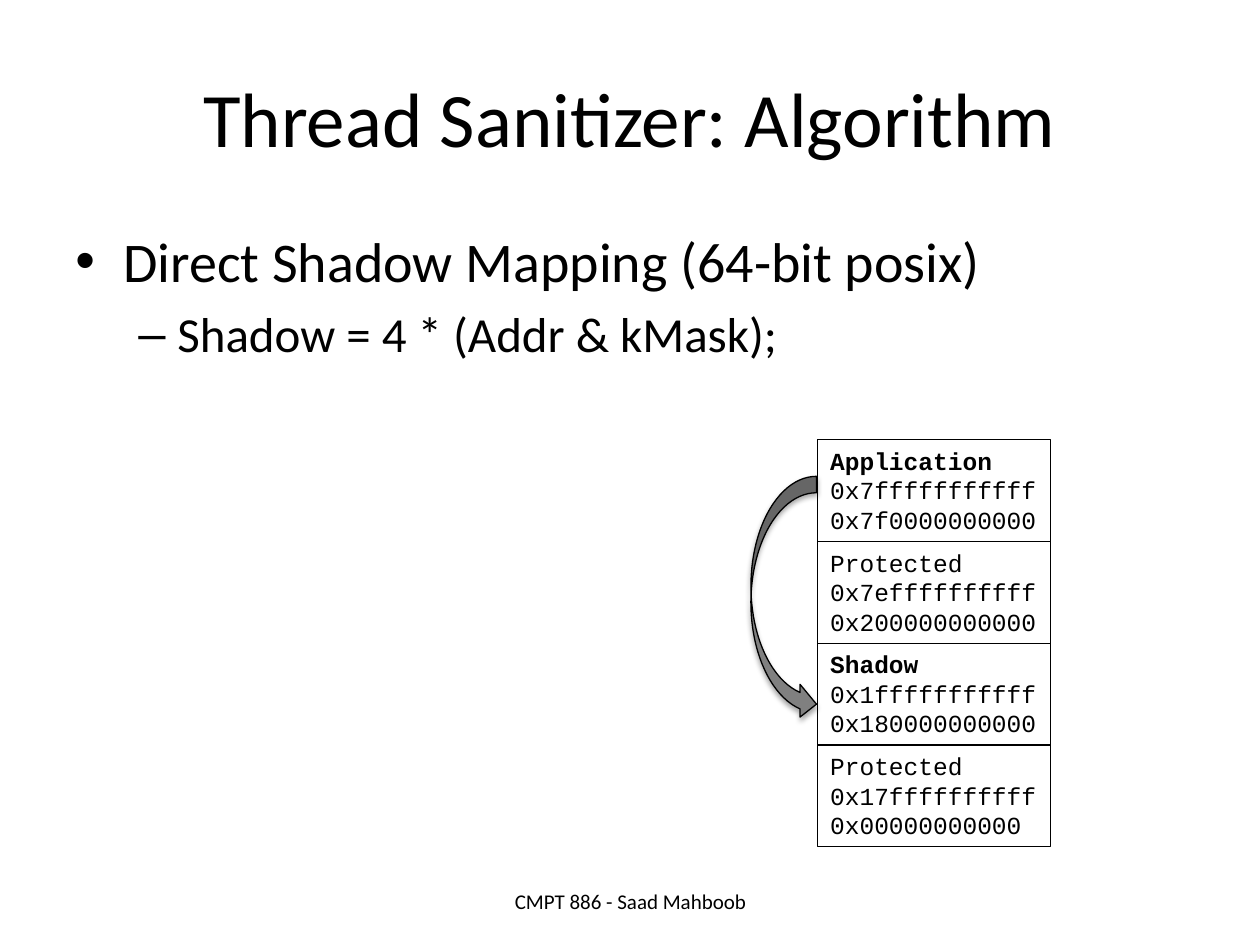
from dataclasses import dataclass

from lxml import etree
from pptx import Presentation
from pptx import util as u
from pptx.dml.color import RGBColor
from pptx.enum import shapes, text
from pptx.oxml import ns


@dataclass(frozen=True)
class Theme:
    ink: RGBColor = RGBColor(0, 0, 0)
    arrow: RGBColor = RGBColor(0x80, 0x80, 0x80)
    sans: str = "Calibri"
    mono: str = "Courier New"
    title: float = 44
    levels: tuple = (32, 28)
    code: float = 14
    footer: float = 12
    line: float = 0.75


T = Theme()
WIDTH, HEIGHT = 10, 7.5

# bullet character, text indent and hanging indent in inches, by level
BULLETS = (("•", 0.38, -0.38), ("–", 0.81, -0.31))

OUTLINE = [(0, "Direct Shadow Mapping (64-bit posix)"),
           (1, "Shadow = 4 * (Addr & kMask);")]

# memory regions from high to low addresses: name, end, start, emphasised
REGIONS = [("Application", "0x7fffffffffff", "0x7f0000000000", True),
           ("Protected", "0x7effffffffff", "0x200000000000", False),
           ("Shadow", "0x1fffffffffff", "0x180000000000", True),
           ("Protected", "0x17ffffffffff", "0x00000000000", False)]


def inches(box):
    return [u.Inches(v) for v in box]


def apply(obj, **fmt):
    for name, value in fmt.items():
        setattr(obj, name, value)


def write(p, words, size, font=T.sans, bold=False):
    r = p.add_run()
    r.text = words
    apply(r.font, name=font, size=u.Pt(size), bold=bold)
    r.font.color.rgb = T.ink


def text_box(s, box, anchor):
    tf = s.shapes.add_textbox(*inches(box)).text_frame
    apply(tf, word_wrap=True, vertical_anchor=anchor)
    return tf


def paragraphs(tf, count):
    return [tf.paragraphs[0]] + [tf.add_paragraph() for _ in range(count - 1)]


def centred_line(s, box, words, size):
    p = text_box(s, box, text.MSO_ANCHOR.MIDDLE).paragraphs[0]
    p.alignment = text.PP_ALIGN.CENTER
    write(p, words, size)


def outline(s, box, items):
    tf = text_box(s, box, text.MSO_ANCHOR.TOP)
    for p, (level, words) in zip(paragraphs(tf, len(items)), items):
        size = T.levels[level]
        char, left, hang = BULLETS[level]
        apply(p, level=level, space_before=u.Pt(0.2 * size))
        write(p, words, size)
        pPr = p._p.get_or_add_pPr()
        pPr.set("marL", str(u.Inches(left)))
        pPr.set("indent", str(u.Inches(hang)))
        etree.SubElement(pPr, ns.qn("a:buFont"), typeface="Arial")
        etree.SubElement(pPr, ns.qn("a:buChar"), char=char)


def memory_map(s, box, regions):
    """Stack equal cells, one for each region, as a group."""
    x, y, w, h = box
    row = h / len(regions)
    group = s.shapes.add_group_shape()
    for i, (name, end, start, strong) in enumerate(regions):
        sp = group.shapes.add_shape(shapes.MSO_SHAPE.RECTANGLE,
                                    *inches((x, y + i * row, w, row)))
        sp.shadow.inherit = False
        sp.fill.background()
        sp.line.color.rgb = T.ink
        sp.line.width = u.Pt(T.line)
        tf = sp.text_frame
        apply(tf, word_wrap=True, vertical_anchor=text.MSO_ANCHOR.TOP)
        for p, words in zip(paragraphs(tf, 3), (name, end, start)):
            p.alignment = text.PP_ALIGN.LEFT
            write(p, words, T.code, T.mono, strong and words == name)


def mapping_arrow(s, box):
    sp = s.shapes.add_shape(shapes.MSO_SHAPE.CURVED_RIGHT_ARROW, *inches(box))
    sp.fill.solid()
    sp.fill.fore_color.rgb = T.arrow
    sp.line.color.rgb = T.ink
    sp.line.width = u.Pt(T.line)
    # soft shadow straight below
    sp.shadow.inherit = False
    effects = sp._element.spPr.find(ns.qn("a:effectLst"))
    shadow = etree.SubElement(effects, ns.qn("a:outerShdw"),
                              blurRad=str(u.Pt(3.1)), dist=str(u.Pt(1.8)),
                              dir="5400000", rotWithShape="0")
    colour = etree.SubElement(shadow, ns.qn("a:srgbClr"), val=str(T.ink))
    etree.SubElement(colour, ns.qn("a:alpha"), val="35000")


def main():
    prs = Presentation()
    apply(prs, slide_width=u.Inches(WIDTH), slide_height=u.Inches(HEIGHT))
    s = prs.slides.add_slide(prs.slide_layouts[6])

    margin = 0.05 * WIDTH
    content = WIDTH - 2 * margin
    centred_line(s, (margin, 0.04 * HEIGHT, content, 1.25),
                 "Thread Sanitizer: Algorithm", T.title)
    outline(s, (margin, 1.75, content, 0.66 * HEIGHT), OUTLINE)

    # memory map, with the arrow from Application to Shadow on its left
    x, y, w, h = 6.49, 3.49, 1.85, 3.23
    memory_map(s, (x, y, w, h), REGIONS)
    mapping_arrow(s, (x - 0.53, y + 0.09 * h, 0.52, 0.6 * h))

    centred_line(s, (3.42, 6.95, 3.17, 0.4), "CMPT 886 - Saad Mahboob",
                 T.footer)
    prs.save("out.pptx")


if __name__ == "__main__":
    main()
